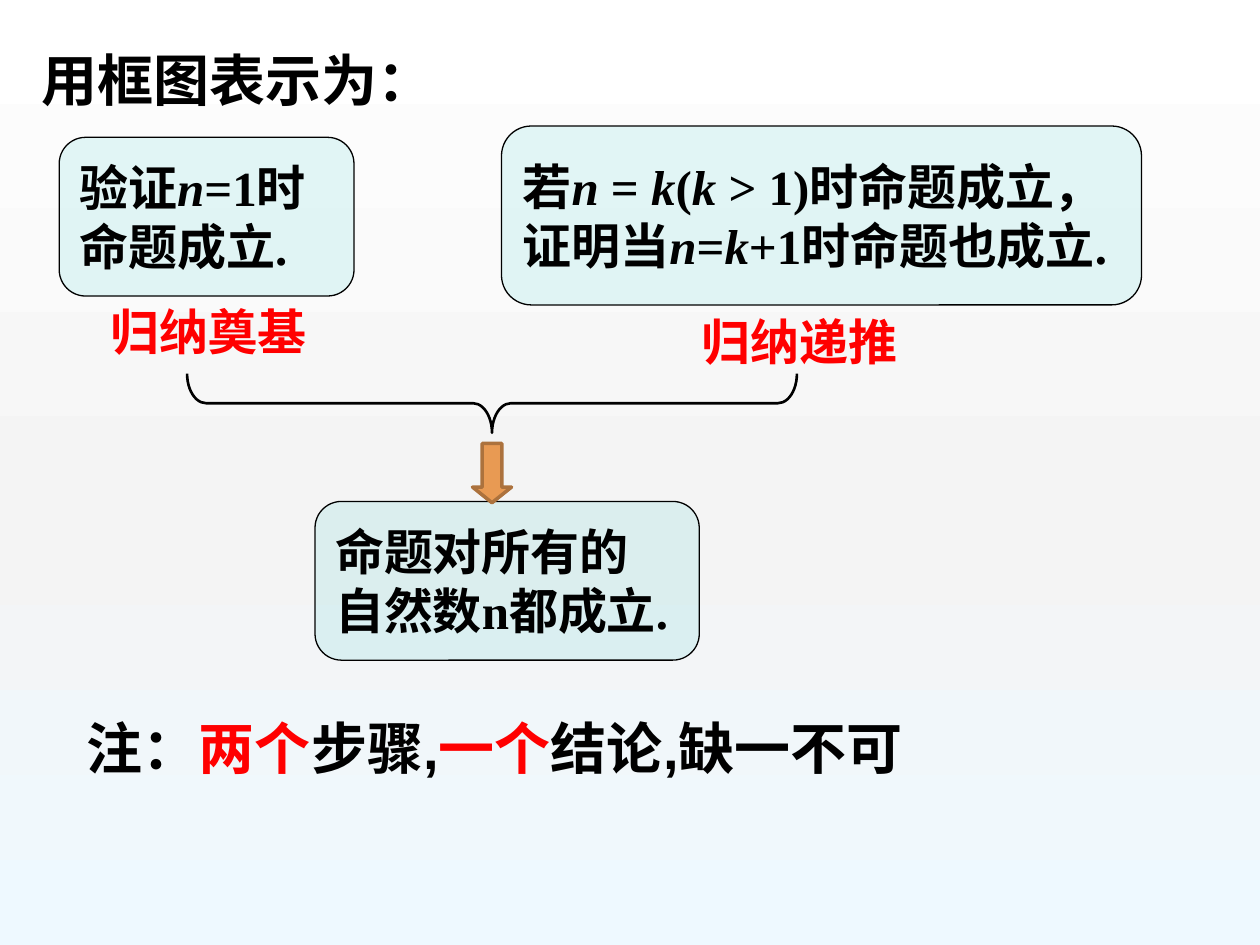
from copy import deepcopy
from dataclasses import dataclass

from lxml import etree
from pptx import Presentation
from pptx.dml.color import RGBColor
from pptx.enum.shapes import MSO_SHAPE
from pptx.enum.text import MSO_ANCHOR, MSO_AUTO_SIZE, PP_ALIGN
from pptx.oxml.ns import qn
from pptx.util import Inches, Pt

CARD = MSO_SHAPE.FLOWCHART_ALTERNATE_PROCESS
BRACE = MSO_SHAPE.LEFT_BRACE
ARROW = MSO_SHAPE.DOWN_ARROW
MIDDLE = MSO_ANCHOR.MIDDLE
TOP = MSO_ANCHOR.TOP
GROW = MSO_AUTO_SIZE.SHAPE_TO_FIT_TEXT
FIXED = MSO_AUTO_SIZE.NONE
LEFT = PP_ALIGN.LEFT


@dataclass(frozen=True)
class Theme:
    ink: str = "000000"
    red: str = "FF0000"
    teal: str = "33CCCC"
    tint: int = 13
    orange: str = "E89A53"
    brown: str = "AC723D"
    back: tuple = ((0, "FFFFFF"), (0.55, "F4F4F4"), (1, "EEF9FF"))
    large: int = 32
    body: int = 28
    hans: str = "Noto Sans CJK SC"
    serif: str = "Times New Roman"
    sans: str = "Arial"


class Deck:
    def __init__(self, theme):
        self.theme = theme
        self.prs = Presentation()
        self.prs.slide_width = Inches(10)
        self.prs.slide_height = Inches(7.5)
        self.slide = self.prs.slides.add_slide(self.prs.slide_layouts[5])

    def back(self):
        fill = self.slide.background.fill
        fill.gradient()
        fill.gradient_angle = 270
        stops = self.slide.element.find(".//" + qn("a:gsLst"))
        stops.insert(1, deepcopy(stops[0]))
        for stop, (place, color) in zip(fill.gradient_stops, self.theme.back):
            stop.position = place
            stop.color.rgb = RGBColor.from_string(color)

    def text(self, frame, lines, base, mark=None, **form):
        for key, value in form.items():
            setattr(frame, key, value)
        for row, line in enumerate(lines):
            para = frame.add_paragraph() if row else frame.paragraphs[0]
            para.alignment = LEFT
            for spot, part in enumerate(line.split("*")):
                if part:
                    self.piece(para, part, {**base, **(mark or {})} if spot % 2 else base)

    def piece(self, para, text, form):
        run = para.add_run()
        run.text = text
        font = run.font
        for key, value in form.items():
            if key == "color":
                font.color.rgb = RGBColor.from_string(value)
            else:
                setattr(font, key, value)
        east = etree.SubElement(run._r.get_or_add_rPr(), qn("a:ea"))
        east.set("typeface", self.theme.hans)

    def style(self, name, size, color):
        return {"name": name, "size": Pt(size), "bold": True, "color": color}

    def title(self, box, text):
        shape = self.slide.shapes.title
        for key, value in zip(("left", "top", "width", "height"), box):
            setattr(shape, key, Inches(value))
        base = self.style(self.theme.hans, self.theme.large, self.theme.ink)
        self.text(shape.text_frame, [text], base, word_wrap=False,
                  auto_size=GROW, vertical_anchor=MIDDLE)

    def label(self, box, text, base, mark=None, anchor=TOP):
        shape = self.slide.shapes.add_textbox(*map(Inches, box))
        self.text(shape.text_frame, [text], base, mark, word_wrap=True,
                  auto_size=GROW, vertical_anchor=anchor)

    def shape(self, kind, box, line, width, fill=None, adjust=()):
        shape = self.slide.shapes.add_shape(kind, *map(Inches, box))
        shape.shadow.inherit = False
        shape.line.color.rgb = RGBColor.from_string(line)
        shape.line.width = Pt(width)
        if fill:
            shape.fill.solid()
            shape.fill.fore_color.rgb = RGBColor.from_string(fill)
        else:
            shape.fill.background()
        for spot, value in enumerate(adjust):
            shape.adjustments[spot] = value
        return shape

    def card(self, box, lines):
        theme = self.theme
        shape = self.shape(CARD, box, theme.ink, 0.75, theme.teal)
        color = shape._element.spPr.find(qn("a:solidFill"))[0]
        etree.SubElement(color, qn("a:alpha")).set("val", str(theme.tint * 1000))
        base = self.style(theme.serif, theme.body, theme.ink)
        self.text(shape.text_frame, lines, base, {"italic": True},
                  word_wrap=False, auto_size=FIXED, vertical_anchor=MIDDLE)


def main():
    theme = Theme()
    deck = Deck(theme)
    deck.back()
    deck.title((0.23, 0.31, 3.58, 0.64), "用框图表示为：")

    cards = (
        ((0.47, 1.09, 2.34, 1.26), ("验证*n*=1时", "命题成立.")),
        ((3.98, 1, 5.08, 1.42),
         ("若*n* = *k*(*k *> 1)时命题成立，", "证明当*n*=*k*+1时命题也成立.")),
        ((2.5, 3.98, 3.05, 1.26), ("命题对所有的", "自然数n都成立.")),
    )
    for box, lines in cards:
        deck.card(box, lines)

    red = deck.style(theme.hans, theme.body, theme.red)
    for left, top, text in ((0.78, 2.34, "归纳奠基"), (5.47, 2.42, "归纳递推")):
        deck.label((left, top, 1.88, 0.57), text, red)

    brace = deck.shape(BRACE, (3.67, 0.78, 0.47, 4.84), theme.ink, 1.5,
                       adjust=(0.32, 0.5))
    brace.rotation = 270
    deck.shape(ARROW, (3.75, 3.52, 0.31, 0.47), theme.brown, 2, theme.orange,
               (0.5, 0.4))

    deck.label((0.59, 5.61, 6.75, 0.64), "注：*两个*步骤,*一个*结论,缺一不可",
               deck.style(theme.sans, theme.large, theme.ink),
               {"color": theme.red}, MIDDLE)
    deck.prs.save("out.pptx")


if __name__ == "__main__":
    main()
